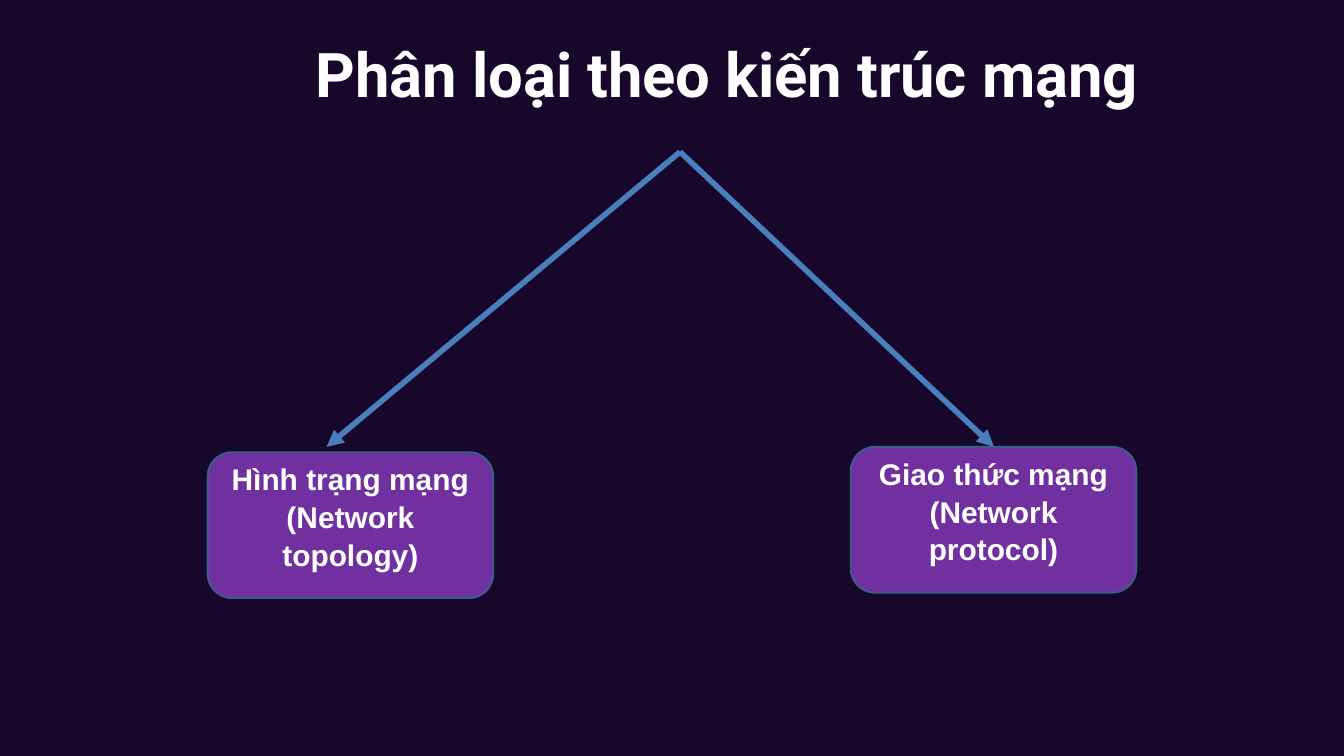
from pptx import Presentation
from pptx.dml.color import RGBColor
from pptx.enum.shapes import MSO_CONNECTOR, MSO_SHAPE
from pptx.enum.text import MSO_ANCHOR, PP_ALIGN
from pptx.oxml.ns import qn
from pptx.util import Inches, Pt
from lxml.etree import SubElement

TITLE = "Phân loại theo kiến trúc mạng"
# text, left and top of the box, x of the arrow tip
BRANCHES = [
    ("Hình trạng mạng (Network topology)", 3.09, 6.73, 4.86),
    ("Giao thức mạng (Network protocol)", 12.66, 6.65, 14.79),
]
BOX_W, BOX_H = 4.25, 2.17
APEX = (10.12, 2.26)
TIP_Y = 6.65
COLORS = {"back": "17072A", "text": "FFFFFF", "box": "7030A0",
          "border": "3A5F8C", "arrow": "4B7EBC"}


def color(name):
    return RGBColor.from_string(COLORS[name])


def set_text(tf, text, font, size):
    tf.word_wrap = True
    p = tf.paragraphs[0]
    p.text = text
    p.font.name, p.font.size, p.font.bold = font, Pt(size), True
    p.font.color.rgb = color("text")
    return p


def add_title(s):
    tf = s.shapes.add_textbox(Inches(4.7), Inches(0.51), Inches(15.17), Inches(1.12)).text_frame
    tf.margin_left = tf.margin_right = tf.margin_bottom = 0
    tf.margin_top = Inches(0.02)
    p = set_text(tf, TITLE, "Roboto", 66)
    p.runs[0].font._element.set("spc", "-10")


def add_box(s, text, x, y):
    sp = s.shapes.add_shape(MSO_SHAPE.ROUNDED_RECTANGLE, Inches(x), Inches(y),
                            Inches(BOX_W), Inches(BOX_H))
    sp.shadow.inherit = False
    sp.fill.solid()
    sp.fill.fore_color.rgb = color("box")
    sp.line.color.rgb = color("border")
    sp.line.width = Pt(2)
    tf = sp.text_frame
    tf.vertical_anchor = MSO_ANCHOR.TOP
    tf.margin_top = 0
    p = set_text(tf, text, "Arial", 32)
    p.alignment = PP_ALIGN.CENTER
    p.line_spacing = 1.05


def add_arrow(s, tip_x):
    line = s.shapes.add_connector(MSO_CONNECTOR.STRAIGHT, Inches(APEX[0]), Inches(APEX[1]),
                                  Inches(tip_x), Inches(TIP_Y))
    line.line.color.rgb = color("arrow")
    line.line.width = Pt(6)
    SubElement(line.line._get_or_add_ln(), qn("a:tailEnd"), type="triangle")
    SubElement(line._element.spPr, qn("a:effectLst"))


prs = Presentation()
prs.slide_width, prs.slide_height = Inches(20), Inches(11.25)
s = prs.slides.add_slide(prs.slide_layouts[6])
s.background.fill.solid()
s.background.fill.fore_color.rgb = color("back")

add_title(s)
for text, x, y, _ in BRANCHES:
    add_box(s, text, x, y)
for *_, tip_x in BRANCHES:
    add_arrow(s, tip_x)

prs.save("out.pptx")
